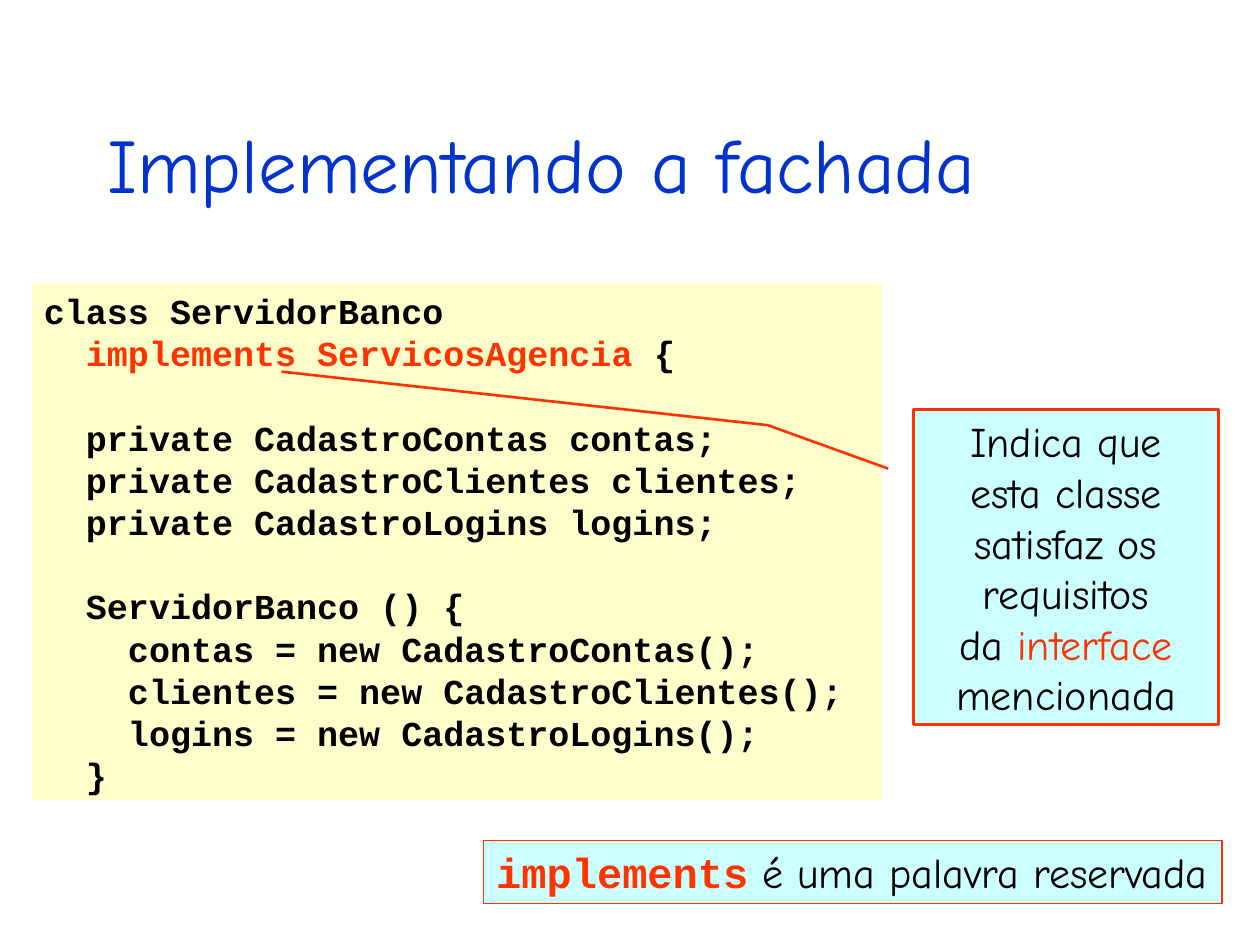
from pptx import Presentation
from pptx.dml.color import RGBColor
from pptx.enum.shapes import MSO_SHAPE
from pptx.enum.text import MSO_ANCHOR, PP_ALIGN
from pptx.util import Inches, Pt

BLUE = RGBColor(0x00, 0x33, 0xCC)
RED = RGBColor(0xFF, 0x33, 0x00)
BLACK = RGBColor(0x00, 0x00, 0x00)
YELLOW = RGBColor(0xFF, 0xFF, 0xCC)
CYAN = RGBColor(0xCC, 0xFF, 0xFF)
BODY_FONT = "Comic Neue"
CODE_FONT = "Courier New"

presentation = Presentation()
presentation.slide_width = Inches(10)
presentation.slide_height = Inches(7.5)
slide = presentation.slides.add_slide(presentation.slide_layouts[5])


def add_text(paragraph, text, size=24, font=BODY_FONT, color=BLACK, bold=False):
    run = paragraph.add_run()
    run.text = text
    run.font.size = Pt(size)
    run.font.name = font
    run.font.color.rgb = color
    run.font.bold = bold


def add_box(kind, left, top, width, height, fill, line_width=None):
    shape = slide.shapes.add_shape(
        kind, Inches(left), Inches(top), Inches(width), Inches(height))
    shape.shadow.inherit = False
    shape.fill.solid()
    shape.fill.fore_color.rgb = fill
    if line_width:
        shape.line.color.rgb = RED
        shape.line.width = Pt(line_width)
    else:
        shape.line.fill.background()
    shape.text_frame.word_wrap = True
    shape.text_frame.vertical_anchor = MSO_ANCHOR.TOP
    return shape


# Title
title = slide.shapes.title
title.left, title.top = Inches(0.75), Inches(0.67)
title.width, title.height = Inches(8.5), Inches(1.25)
title.text_frame.vertical_anchor = MSO_ANCHOR.MIDDLE
title_paragraph = title.text_frame.paragraphs[0]
title_paragraph.alignment = PP_ALIGN.LEFT
add_text(title_paragraph, "Implementando a fachada", size=44, color=BLUE)

# Code: groups of lines, set apart by one line of space
code_groups = [
    [[("class ServidorBanco", BLACK)],
     [("  ", BLACK), ("implements ServicosAgencia", RED), (" {", BLACK)]],
    [[("  private CadastroContas contas;", BLACK)],
     [("  private CadastroClientes clientes;", BLACK)],
     [("  private CadastroLogins logins;", BLACK)]],
    [[("  ServidorBanco () {", BLACK)],
     [("    contas = new CadastroContas();", BLACK)],
     [("    clientes = new CadastroClientes();", BLACK)],
     [("    logins = new CadastroLogins();", BLACK)],
     [("  }", BLACK)]],
]
code_frame = add_box(MSO_SHAPE.RECTANGLE, 0.25, 2.25, 6.75, 4.1, YELLOW).text_frame
paragraph = code_frame.paragraphs[0]
for group_index, group in enumerate(code_groups):
    for line_index, line in enumerate(group):
        if group_index or line_index:
            paragraph = code_frame.add_paragraph()
        if group_index and not line_index:
            paragraph.space_before = Pt(24.1)
        paragraph.alignment = PP_ALIGN.LEFT
        paragraph.line_spacing = Pt(24.1)
        for text, color in line:
            add_text(paragraph, text, size=20, font=CODE_FONT, color=color, bold=True)

# Callout pointing at the implements clause
callout = add_box(MSO_SHAPE.LINE_CALLOUT_2, 7.25, 3.25, 2.42, 2.5, CYAN, 1.5)
for index, value in enumerate([0.188, -0.083, 0.05, -0.478, -0.12, -2.073]):
    callout.adjustments[index] = value
callout_lines = [
    [("Indica que", BLACK)],
    [("esta classe", BLACK)],
    [("satisfaz os requisitos", BLACK)],
    [("da ", BLACK), ("interface", RED)],
    [("mencionada", BLACK)],
]
for index, line in enumerate(callout_lines):
    frame = callout.text_frame
    paragraph = frame.add_paragraph() if index else frame.paragraphs[0]
    paragraph.alignment = PP_ALIGN.CENTER
    paragraph.line_spacing = Pt(28.9)
    for text, color in line:
        add_text(paragraph, text, color=color)

# Reserved word note
note = add_box(MSO_SHAPE.RECTANGLE, 3.84, 6.67, 5.86, 0.5, CYAN, 0.75)
note.text_frame.word_wrap = False
note_paragraph = note.text_frame.paragraphs[0]
note_paragraph.alignment = PP_ALIGN.LEFT
add_text(note_paragraph, "implements", font=CODE_FONT, color=RED, bold=True)
add_text(note_paragraph, " é uma palavra reservada")

presentation.save("out.pptx")
